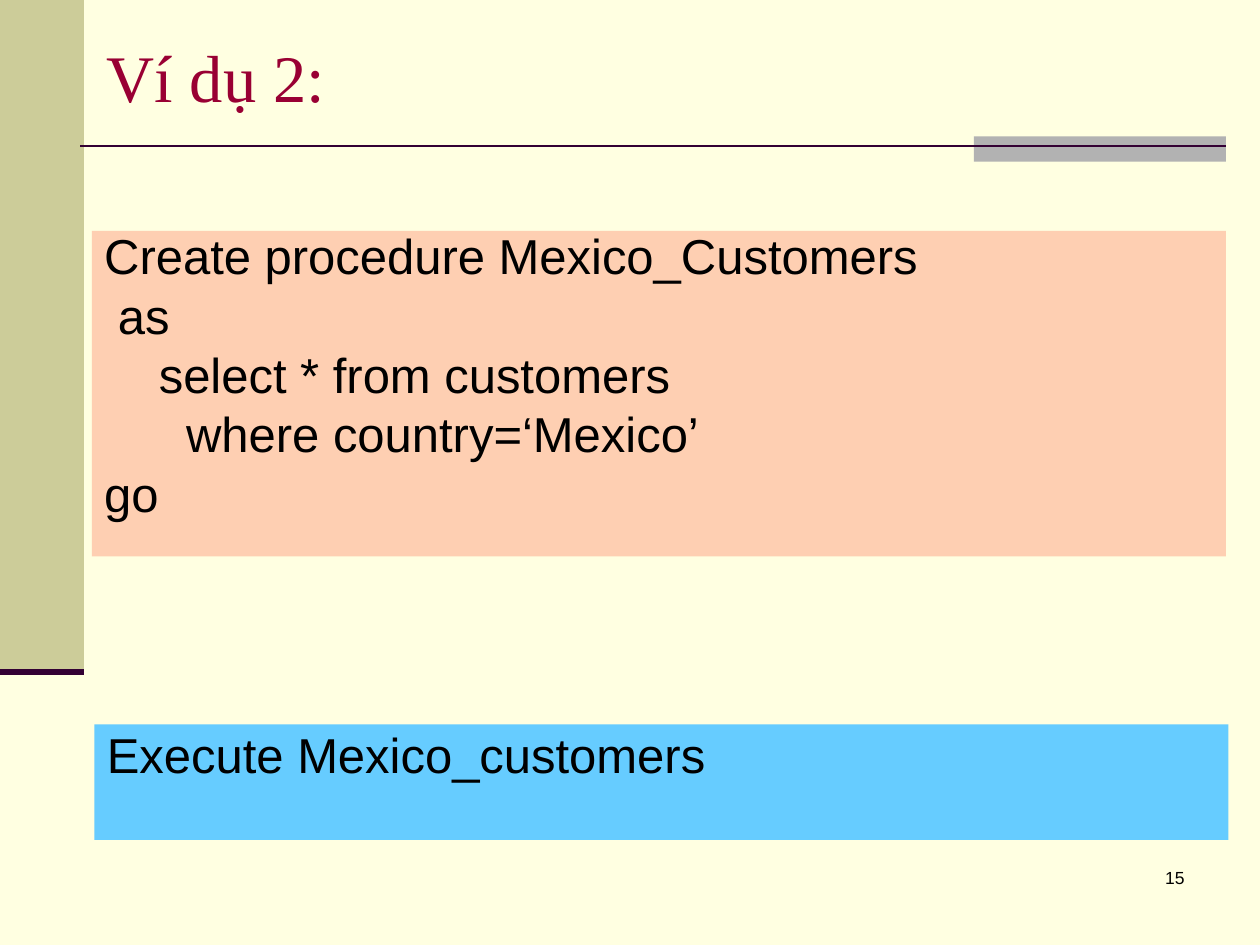
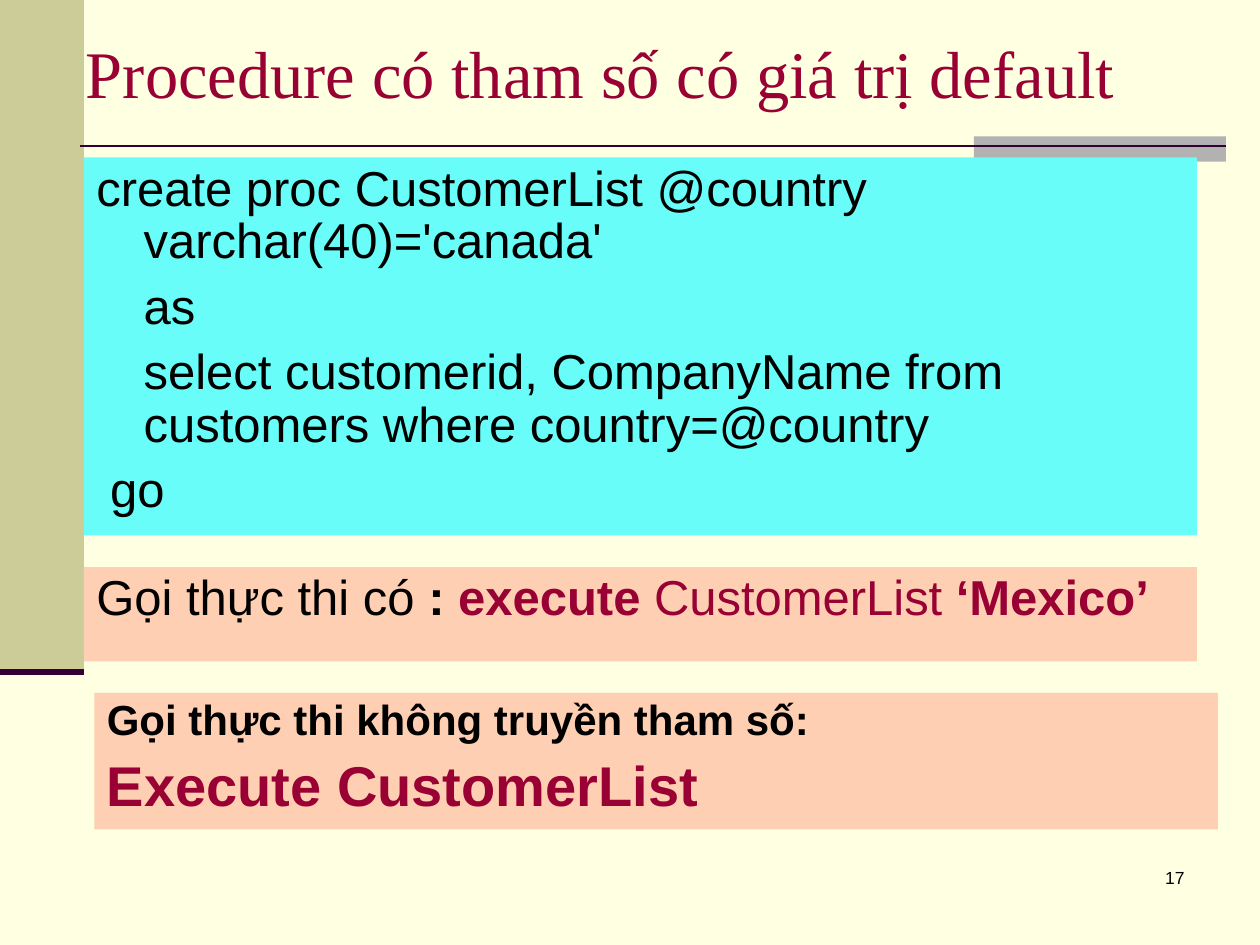
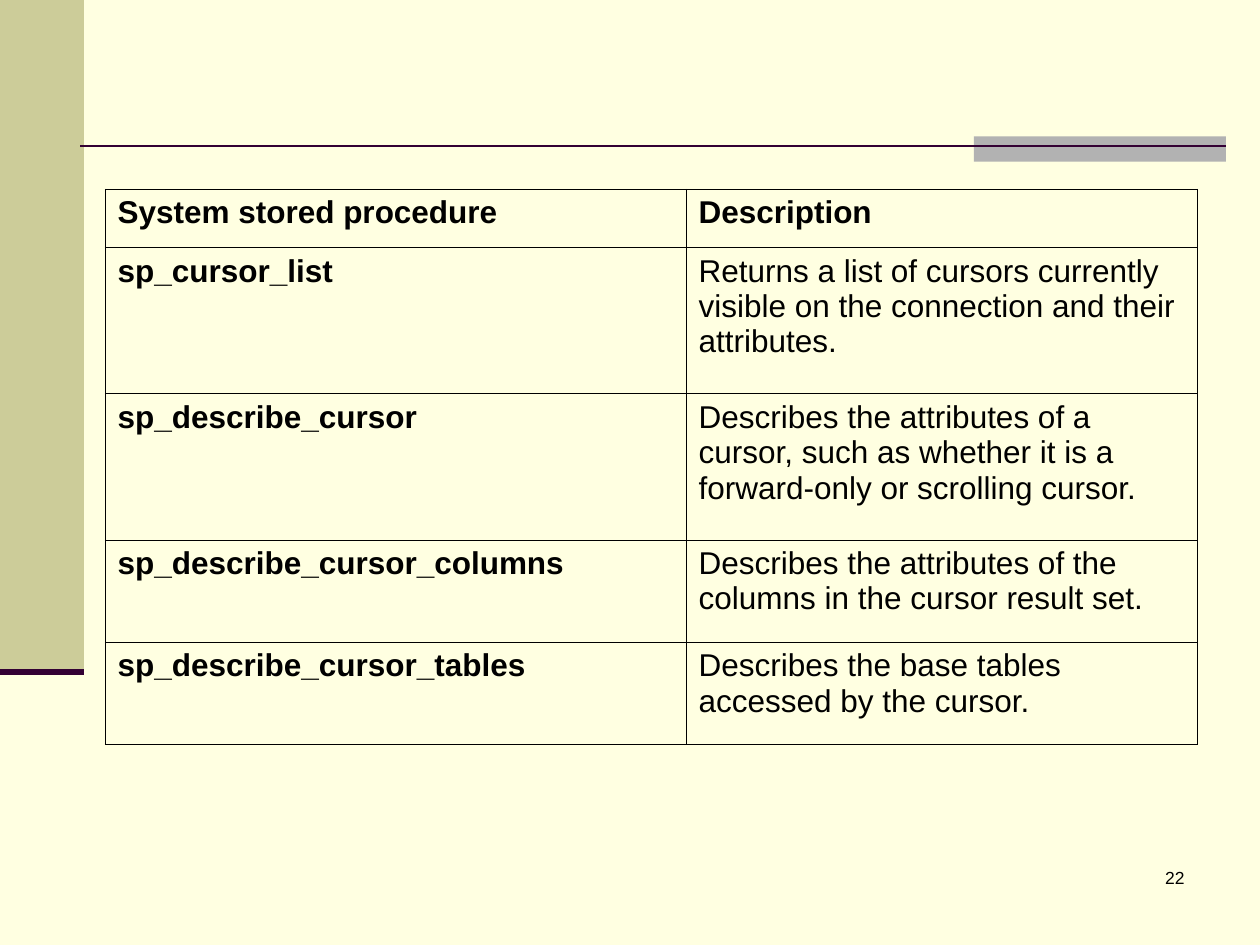
from pptx import Presentation
from pptx.dml.color import RGBColor
from pptx.enum.shapes import MSO_CONNECTOR, MSO_SHAPE
from pptx.enum.text import MSO_ANCHOR, PP_ALIGN
from pptx.oxml.ns import qn
from pptx.util import Pt
from lxml import etree

RECTANGLE, STRAIGHT = MSO_SHAPE.RECTANGLE, MSO_CONNECTOR.STRAIGHT
TOP, MIDDLE = MSO_ANCHOR.TOP, MSO_ANCHOR.MIDDLE
LEFT, RIGHT = PP_ALIGN.LEFT, PP_ALIGN.RIGHT

CREAM = RGBColor(0xFF, 0xFF, 0xE1)
OLIVE = RGBColor(0xCC, 0xCC, 0x99)
GREY = RGBColor(0xB2, 0xB2, 0xB2)
PLUM = RGBColor(0x33, 0x00, 0x33)
CRIMSON = RGBColor(0x99, 0x00, 0x33)
BLACK = RGBColor(0x00, 0x00, 0x00)
PEACH = RGBColor(0xFE, 0xCF, 0xB2)
SKY = RGBColor(0x66, 0xCC, 0xFF)
AQUA = RGBColor(0x69, 0xFD, 0xF9)

BODY_FONT, TITLE_FONT = "Arial", "Times New Roman"
HANG = 27    # left margin of wrapped code lines
SPACE = 7.8  # width of one space at code size


def add_text(frame, *runs, size=28, color=BLACK, bold=False, font=BODY_FONT,
             align=LEFT, hang=0, first=0, line=1.0, before=0):
    """Add one paragraph; a run is a string or (string, overrides)."""
    paragraph = frame.add_paragraph() if frame.text else frame.paragraphs[0]
    paragraph.alignment = align
    paragraph.line_spacing = line
    paragraph.space_before = Pt(before)
    properties = paragraph._p.get_or_add_pPr()
    properties.set("marL", str(Pt(hang)))
    properties.set("indent", str(Pt(first - hang)))
    for item in runs:
        text, changes = (item, {}) if isinstance(item, str) else item
        run = paragraph.add_run()
        run.text = text
        run.font.name = font
        run.font.size = Pt(size)
        run.font.bold = changes.get("bold", bold)
        run.font.color.rgb = changes.get("color", color)


class Deck:
    def __init__(self):
        self.presentation = Presentation()
        self.presentation.slide_width = Pt(720)
        self.presentation.slide_height = Pt(540)
        self.slide = None

    def new_slide(self, number, title=None, title_box=None):
        """Start a slide with the shared bands, title and page number."""
        self.slide = self.presentation.slides.add_slide(
            self.presentation.slide_layouts[6])
        background = self.slide.background.fill
        background.solid()
        background.fore_color.rgb = CREAM
        self.block(0, 0, 48, 384, OLIVE)
        self.block(556.5, 78, 144, 14.4, GREY)
        self.rule(46, 700.5, 83.5, 1.5)
        self.rule(0, 48, 384, 3.5)
        add_text(self.text_box(534, 492, 150, 36), str(number),
                 size=10, align=RIGHT)
        if title:
            add_text(self.text_box(*title_box, anchor=MIDDLE), title,
                     size=38, color=CRIMSON, font=TITLE_FONT)

    def block(self, left, top, width, height, color):
        shape = self.slide.shapes.add_shape(
            RECTANGLE, Pt(left), Pt(top), Pt(width), Pt(height))
        shape.shadow.inherit = False
        shape.fill.solid()
        shape.fill.fore_color.rgb = color
        shape.line.fill.background()
        frame = shape.text_frame
        frame.word_wrap = True
        frame.vertical_anchor = TOP
        return frame

    def rule(self, left, right, y, weight):
        connector = self.slide.shapes.add_connector(
            STRAIGHT, Pt(left), Pt(y), Pt(right), Pt(y))
        connector.line.color.rgb = PLUM
        connector.line.width = Pt(weight)
        etree.SubElement(connector._element.spPr, qn("a:effectLst"))

    def text_box(self, left, top, width, height, anchor=TOP):
        frame = self.slide.shapes.add_textbox(
            Pt(left), Pt(top), Pt(width), Pt(height)).text_frame
        frame.word_wrap = True
        frame.vertical_anchor = anchor
        return frame

    def code(self, box, color, lines, line=0.9):
        """Filled block of (first-line offset, text) lines."""
        frame = self.block(*box, color)
        for first, text in lines:
            add_text(frame, text, hang=HANG, first=first, line=line, before=7)

    def table(self, left, top, widths, heights, rows):
        table = self.slide.shapes.add_table(
            len(rows), len(widths), Pt(left), Pt(top),
            Pt(sum(widths)), Pt(sum(heights))).table
        table.first_row = table.horz_banding = False
        for column, width in zip(table.columns, widths):
            column.width = Pt(width)
        for r, (row, height) in enumerate(zip(rows, heights)):
            table.rows[r].height = Pt(height)
            for c, text in enumerate(row):
                cell = table.cell(r, c)
                add_text(cell.text_frame, text, size=18,
                         bold=r == 0 or c == 0)
                self.border(cell)
                cell.fill.background()

    def border(self, cell):
        properties = cell._tc.get_or_add_tcPr()
        for side in ("a:lnL", "a:lnR", "a:lnT", "a:lnB"):
            edge = etree.SubElement(properties, qn(side), w=str(Pt(0.34)))
            fill = etree.SubElement(edge, qn("a:solidFill"))
            etree.SubElement(fill, qn("a:srgbClr"), val=str(BLACK))


def procedure_example(deck):
    deck.new_slide(15, "Ví dụ 2:", (54, 21.5, 630, 44))
    deck.code((52.5, 132, 648, 186), PEACH, [
        (0, "Create procedure Mexico_Customers"),
        (SPACE, "as"),
        (4 * SPACE, "select * from customers"),
        (6 * SPACE, "where country=‘Mexico’"),
        (0, "go"),
    ], line=0.8)
    deck.code((54, 414, 648, 66), SKY, [(0, "Execute Mexico_customers")])


def default_parameter(deck):
    deck.new_slide(17, "Procedure có tham số có giá trị default",
                   (42, 21.5, 642, 39))
    deck.code((48, 90, 636, 216), AQUA, [
        (0, "create proc CustomerList @country varchar(40)='canada'"),
        (HANG, "as"),
        (HANG, "select customerid, CompanyName from customers "
               "where country=@country"),
        (SPACE, "go"),
    ])
    # Call with a parameter
    strong = {"color": CRIMSON, "bold": True}
    call = deck.block(48, 324, 636, 54, PEACH)
    add_text(call, "Gọi thực thi có ", (": ", {"bold": True}),
             ("execute ", strong), ("CustomerList ", {"color": CRIMSON}),
             ("‘Mexico’", strong), hang=HANG, line=0.9, before=7)
    # Call without a parameter
    default_call = deck.block(54, 396, 642, 78, PEACH)
    add_text(default_call, "Gọi thực thi không truyền tham số:",
             size=24, bold=True, hang=HANG, line=0.9, before=6)
    add_text(default_call, "Execute CustomerList", size=32, bold=True,
             color=CRIMSON, hang=HANG, line=0.9, before=8)


def cursor_procedures(deck):
    deck.new_slide(22)
    deck.table(60, 108, (332, 292), (33.5, 83.5, 83.5, 58.5, 58.5), [
        ("System stored procedure", "Description"),
        ("sp_cursor_list", "Returns a list of cursors currently visible "
                           "on the connection and their attributes."),
        ("sp_describe_cursor", "Describes the attributes of a cursor, such as "
                               "whether it is a forward-only or scrolling "
                               "cursor."),
        ("sp_describe_cursor_columns", "Describes the attributes of the "
                                       "columns in the cursor result set."),
        ("sp_describe_cursor_tables", "Describes the base tables accessed "
                                      "by the cursor."),
    ])


def main():
    deck = Deck()
    procedure_example(deck)
    default_parameter(deck)
    cursor_procedures(deck)
    deck.presentation.save("out.pptx")


if __name__ == "__main__":
    main()
